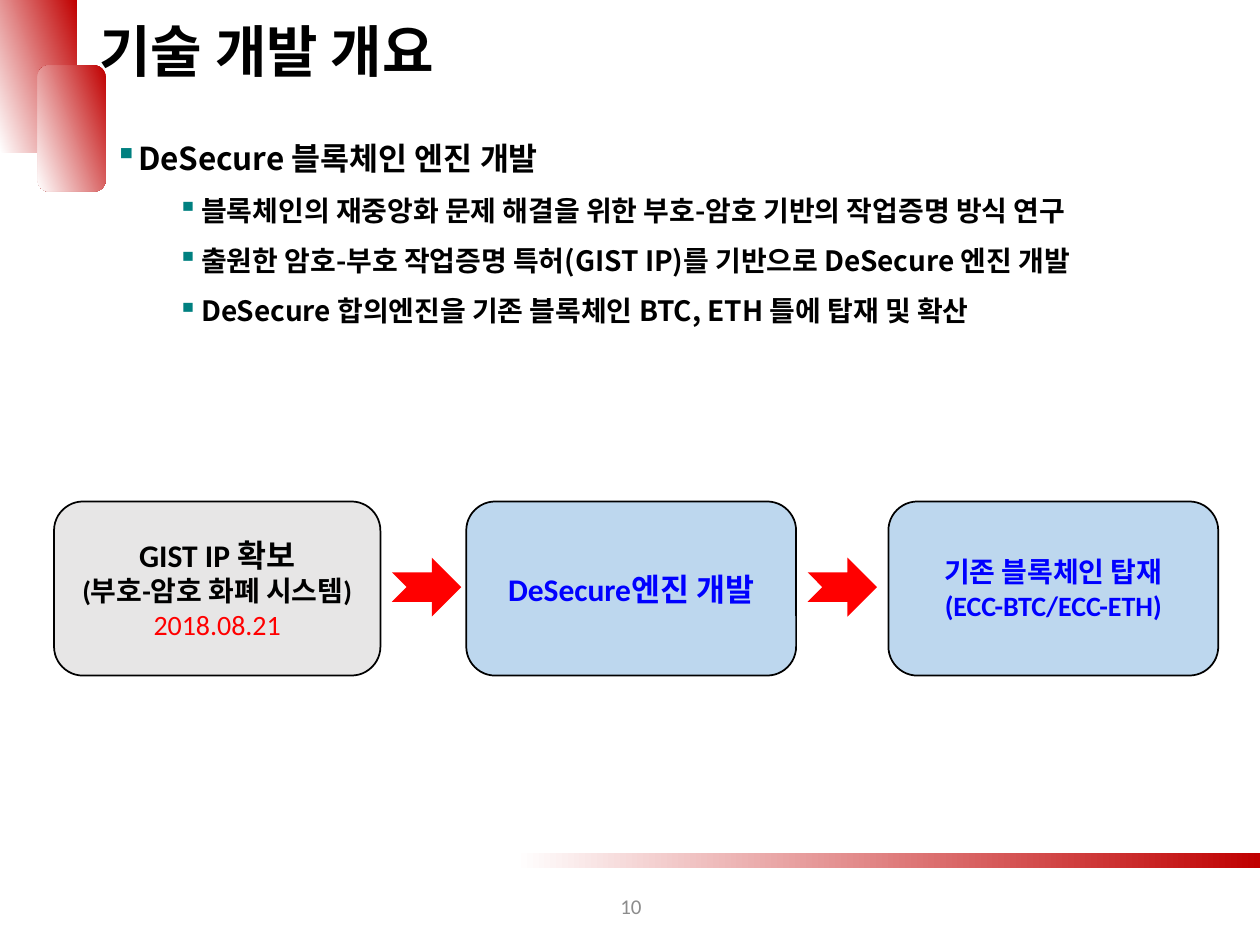
from lxml import etree
from pptx import Presentation
from pptx import util as u
from pptx.dml.color import RGBColor
from pptx.enum import shapes, text
from pptx.oxml.ns import qn

BLACK = RGBColor(0x00, 0x00, 0x00)
WHITE = RGBColor(0xFF, 0xFF, 0xFF)
CRIMSON = RGBColor(0xC0, 0x00, 0x00)
RED = RGBColor(0xFF, 0x00, 0x00)
BLUE = RGBColor(0x00, 0x00, 0xFF)
GRAY = RGBColor(0x8C, 0x8C, 0x8C)
PALE_GRAY = RGBColor(0xE7, 0xE6, 0xE6)
PALE_BLUE = RGBColor(0xBD, 0xD7, 0xEE)
TEAL = "008080"
KIND = shapes.MSO_SHAPE

deck = Presentation()
deck.slide_width, deck.slide_height = u.Cm(25.4), u.Cm(19.05)
slide = deck.slides.add_slide(deck.slide_layouts[5])


def add_plain_shape(kind, left, top, width, height):
    """Add a preset shape without shadow or outline; lengths in cm."""
    shape = slide.shapes.add_shape(kind, u.Cm(left), u.Cm(top), u.Cm(width), u.Cm(height))
    shape.shadow.inherit = False
    shape.line.fill.background()
    return shape


def add_run(paragraph, words, size, color, bold=True, font="Calibri"):
    run = paragraph.add_run()
    run.text = words
    run.font.name, run.font.size, run.font.bold = font, u.Pt(size), bold
    run.font.color.rgb = color


# Corner blocks and footer bar
for kind, box, angle, colors in [
    (KIND.RECTANGLE, (0, 0, 1.55, 3.07), 200, (CRIMSON, WHITE)),
    (KIND.FLOWCHART_ALTERNATE_PROCESS, (0.76, 1.32, 1.37, 2.54), 200, (CRIMSON, WHITE)),
    (KIND.RECTANGLE, (10.39, 17.2, 15.01, 0.3), 0, (WHITE, CRIMSON)),
]:
    ornament = add_plain_shape(kind, *box)
    ornament.fill.gradient()
    ornament.fill.gradient_angle = angle
    for stop, color in zip(ornament.fill.gradient_stops, colors):
        stop.color.rgb = color

# Title, brought in front of the corner blocks
title = slide.shapes.title
slide.shapes._spTree.append(title._element)
title.left, title.top, title.width, title.height = u.Cm(1.75), u.Cm(0.2), u.Cm(14.07), u.Cm(1.63)
title.text_frame.vertical_anchor = text.MSO_ANCHOR.TOP
title.text_frame.auto_size = text.MSO_AUTO_SIZE.SHAPE_TO_FIT_TEXT
heading = title.text_frame.paragraphs[0]
heading.alignment = text.PP_ALIGN.LEFT
add_run(heading, "기술 개발 개요", 32, BLACK)

# Page number
page = slide.shapes.add_textbox(u.Cm(9.86), u.Cm(17.75), u.Cm(5.72), u.Cm(1.02)).text_frame
page.word_wrap = True
page.vertical_anchor = text.MSO_ANCHOR.MIDDLE
page.paragraphs[0].alignment = text.PP_ALIGN.CENTER
add_run(page.paragraphs[0], "10", 12, GRAY, bold=False)

# Bulleted goals
goals = slide.shapes.add_textbox(u.Cm(2.06), u.Cm(2.29), u.Cm(22.15), u.Cm(4.5)).text_frame
goals.word_wrap = True
goals.auto_size = text.MSO_AUTO_SIZE.SHAPE_TO_FIT_TEXT
for i, (level, words) in enumerate([
    (0, "DeSecure 블록체인 엔진 개발"),
    (1, "블록체인의 재중앙화 문제 해결을 위한 부호-암호 기반의 작업증명 방식 연구"),
    (1, "출원한 암호-부호 작업증명 특허(GIST IP)를 기반으로 DeSecure 엔진 개발"),
    (1, "DeSecure 합의엔진을 기존 블록체인 BTC, ETH 틀에 탑재 및 확산"),
]):
    goal = goals.paragraphs[0] if i == 0 else goals.add_paragraph()
    goal.level = level
    goal.line_spacing = 1.5
    props = goal._p.get_or_add_pPr()
    props.set("marL", str(u.Cm(0.48 + 1.27 * level)))
    props.set("indent", str(u.Cm(-0.48)))
    bullet_color = etree.SubElement(props, qn("a:buClr"))
    etree.SubElement(bullet_color, qn("a:srgbClr"), val=TEAL)
    etree.SubElement(props, qn("a:buChar"), char="▪")
    add_run(goal, words, 18 - 2 * level, BLACK, font="Noto Sans CJK KR")

# Process steps
for left, width, fill, lines in [
    (1.09, 6.58, PALE_GRAY, [("GIST IP 확보", 18, BLACK, True),
                             ("(부호-암호 화폐 시스템)", 16, BLACK, True),
                             ("2018.08.21", 16, RED, False)]),
    (9.4, 6.65, PALE_BLUE, [("DeSecure엔진 개발", 18, BLUE, True)]),
    (17.91, 6.65, PALE_BLUE, [("기존 블록체인 탑재", 16, BLUE, True),
                              ("(ECC-BTC/ECC-ETH)", 16, BLUE, True)]),
]:
    step = add_plain_shape(KIND.ROUNDED_RECTANGLE, left, 10.11, width, 3.51)
    step.fill.solid()
    step.fill.fore_color.rgb = fill
    step.line.color.rgb = BLACK
    step.line.width = u.Pt(1)
    step.text_frame.word_wrap = True
    step.text_frame.vertical_anchor = text.MSO_ANCHOR.MIDDLE
    for i, line in enumerate(lines):
        row = step.text_frame.paragraphs[0] if i == 0 else step.text_frame.add_paragraph()
        row.alignment = text.PP_ALIGN.CENTER
        add_run(row, *line)

for left in (7.9, 16.28):
    arrow = add_plain_shape(KIND.NOTCHED_RIGHT_ARROW, left, 11.24, 1.4, 1.19)
    arrow.fill.solid()
    arrow.fill.fore_color.rgb = RED

deck.save("out.pptx")
